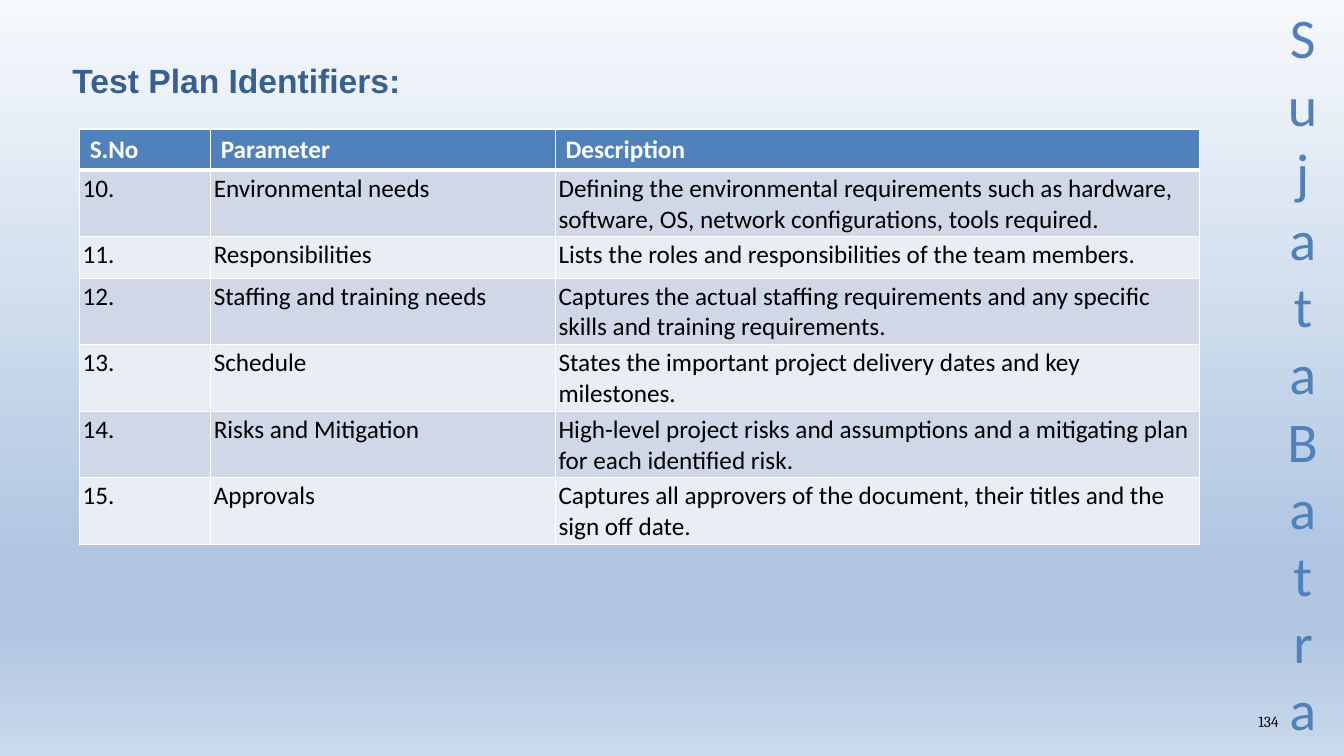
from copy import deepcopy
from dataclasses import dataclass

from lxml import etree
from pptx import Presentation
from pptx.dml.color import RGBColor
from pptx.enum.text import MSO_ANCHOR, PP_ALIGN
from pptx.oxml.ns import qn
from pptx.util import Inches, Pt

LEFT, CENTER, RIGHT = PP_ALIGN.LEFT, PP_ALIGN.CENTER, PP_ALIGN.RIGHT
TOP, MIDDLE = MSO_ANCHOR.TOP, MSO_ANCHOR.MIDDLE


@dataclass(frozen=True)
class Theme:
    """Colours, fonts and type sizes of the slide."""
    backdrop: tuple = ((0, "F6F9FC"), (0.74, "B0C6E1"), (0.83, "B0C6E1"), (1, "CAD9EB"))
    accent: str = "4F81BD"
    heading: str = "376092"
    ink: str = "000000"
    white: str = "FFFFFF"
    bands: tuple = ("D0D8E8", "E9EDF4")
    heading_font: str = "Arial"
    body_font: str = "Calibri"
    number_font: str = "Cambria"
    heading_size: int = 24
    body_size: int = 18
    number_size: int = 11
    author_size: int = 40


THEME = Theme()
COLUMN_WIDTHS = (1.3, 3.42, 6.39)
SINGLE_ROW, DOUBLE_ROW = 0.41, 0.66
ROW_HEIGHTS = (SINGLE_ROW, DOUBLE_ROW, SINGLE_ROW) + (DOUBLE_ROW,) * 4
CELL_INSET = 0.03
THIN, THICK = 1, 3
HEADER = ("S.No", "Parameter", "Description")
IDENTIFIERS = (
    ("10.", "Environmental needs",
     "Defining the environmental requirements such as hardware, software, OS, "
     "network configurations, tools required."),
    ("11.", "Responsibilities",
     "Lists the roles and responsibilities of the team members."),
    ("12.", "Staffing and training needs",
     "Captures the actual staffing requirements and any specific skills and "
     "training requirements."),
    ("13.", "Schedule",
     "States the important project delivery dates and key milestones."),
    ("14.", "Risks and Mitigation",
     "High-level project risks and assumptions and a mitigating plan for each "
     "identified risk."),
    ("15.", "Approvals",
     "Captures all approvers of the document, their titles and the sign off date."),
)


def style_paragraph(paragraph, font, size, color, bold=False, align=LEFT):
    """Set the type of one paragraph."""
    paragraph.alignment = align
    paragraph.font.name = font
    paragraph.font.size = Pt(size)
    paragraph.font.bold = bold
    paragraph.font.color.rgb = RGBColor.from_string(color)


def add_label(slide, box, text, anchor=TOP, **type_style):
    """Place a wrapped line of text in the given box."""
    frame = slide.shapes.add_textbox(*map(Inches, box)).text_frame
    frame.word_wrap = True
    frame.vertical_anchor = anchor
    frame.text = text
    style_paragraph(frame.paragraphs[0], **type_style)


def paint_backdrop(slide):
    """Fill the background with a gradient running downwards."""
    fill = slide.background.fill
    fill.gradient()
    fill.gradient_angle = 270
    stop_list = slide.element.find(".//" + qn("a:gsLst"))
    while len(stop_list) < len(THEME.backdrop):
        stop_list.append(deepcopy(stop_list[0]))
    for stop, (position, color) in zip(fill.gradient_stops, THEME.backdrop):
        stop.position = position
        stop.color.rgb = RGBColor.from_string(color)


def rule_cell(cell, top, bottom):
    """Draw white borders round a cell, with the top and bottom widths given."""
    properties = cell._tc.get_or_add_tcPr()
    widths = {"lnL": THIN, "lnR": THIN, "lnT": top, "lnB": bottom}
    for index, (side, width) in enumerate(widths.items()):
        line = etree.Element(qn("a:" + side), w=str(Pt(width)))
        fill = etree.SubElement(line, qn("a:solidFill"))
        etree.SubElement(fill, qn("a:srgbClr"), val=THEME.white)
        properties.insert(index, line)


def fill_cell(cell, text, row):
    """Write, colour and border one cell according to its row."""
    is_header = row == 0
    cell.text = text
    style_paragraph(cell.text_frame.paragraphs[0], THEME.body_font, THEME.body_size,
                    THEME.white if is_header else THEME.ink, bold=is_header)
    if not is_header:
        cell.margin_left = cell.margin_right = Inches(CELL_INSET)
        cell.margin_top = cell.margin_bottom = Inches(CELL_INSET)
    cell.fill.solid()
    color = THEME.accent if is_header else THEME.bands[(row - 1) % 2]
    cell.fill.fore_color.rgb = RGBColor.from_string(color)
    rule_cell(cell, THICK if row == 1 else THIN, THICK if is_header else THIN)


def add_identifier_table(slide, left, top):
    """Place the table of test plan identifiers at the given corner."""
    records = (HEADER,) + IDENTIFIERS
    box = (left, top, sum(COLUMN_WIDTHS), sum(ROW_HEIGHTS))
    table = slide.shapes.add_table(len(records), len(HEADER), *map(Inches, box)).table
    for column, width in zip(table.columns, COLUMN_WIDTHS):
        column.width = Inches(width)
    for row, (record, height) in enumerate(zip(records, ROW_HEIGHTS)):
        table.rows[row].height = Inches(height)
        for column, text in enumerate(record):
            fill_cell(table.cell(row, column), text, row)


def build_identifier_slide(presentation):
    """Add the slide with its backdrop, margin texts, title and table."""
    slide = presentation.slides.add_slide(presentation.slide_layouts[6])
    paint_backdrop(slide)
    add_label(slide, (9.67, 7.02, 3.11, 0.4), "134", font=THEME.number_font,
              size=THEME.number_size, color=THEME.ink, align=RIGHT)
    add_label(slide, (12.64, -0.02, 0.56, 7.51), "Sujata Batra", font=THEME.body_font,
              size=THEME.author_size, color=THEME.accent, align=CENTER)
    add_label(slide, (0.62, 0.45, 9.01, 0.69), "Test Plan Identifiers:", anchor=MIDDLE,
              font=THEME.heading_font, size=THEME.heading_size, color=THEME.heading,
              bold=True)
    add_identifier_table(slide, 0.79, 1.28)


def main():
    """Build and save the presentation."""
    presentation = Presentation()
    presentation.slide_width = Inches(13.33)
    presentation.slide_height = Inches(7.5)
    build_identifier_slide(presentation)
    presentation.save("out.pptx")


if __name__ == "__main__":
    main()
